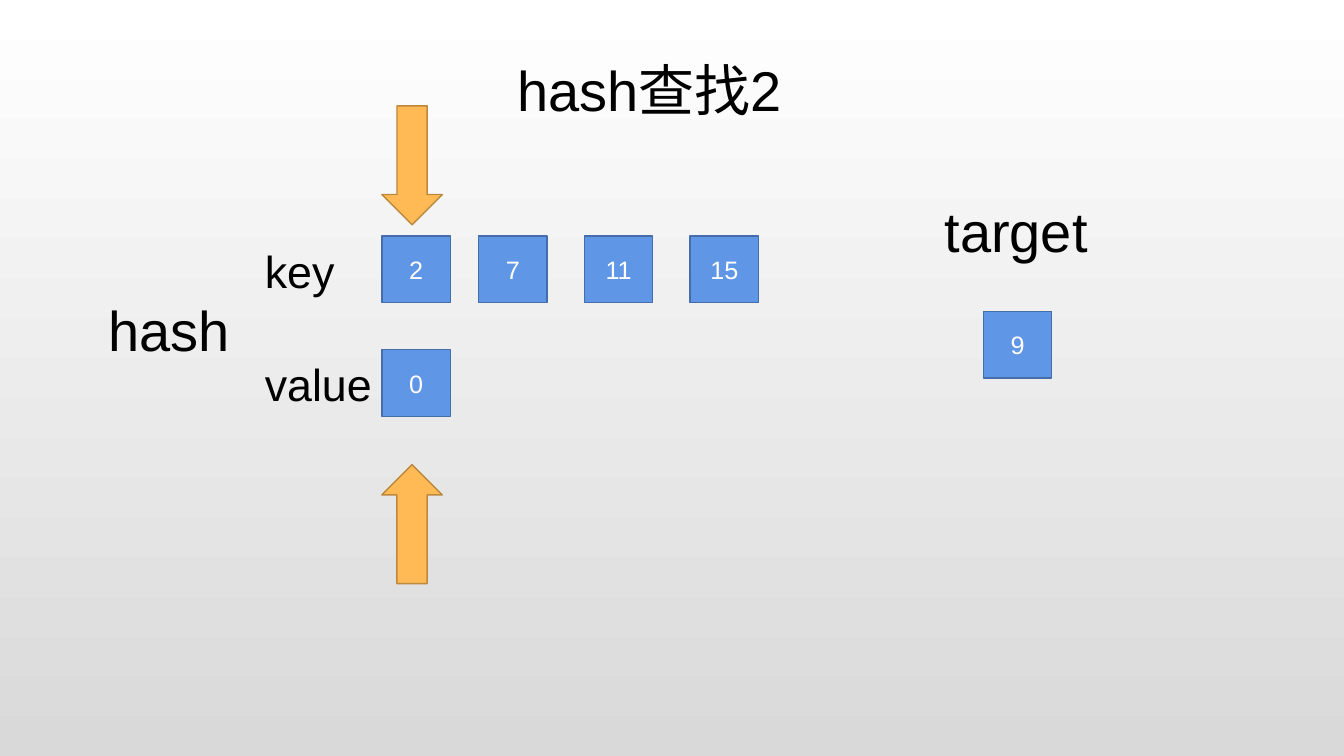
import pptx
import pptx.dml.color
import pptx.enum.shapes
import pptx.enum.text
import pptx.util

PX = 9144
FONT = "Arial"
WHITE = pptx.dml.color.RGBColor(0xFF, 0xFF, 0xFF)
GREY = pptx.dml.color.RGBColor(0xD9, 0xD9, 0xD9)
BLACK = pptx.dml.color.RGBColor(0x00, 0x00, 0x00)
BLUE = pptx.dml.color.RGBColor(0x60, 0x96, 0xE6)
BLUE_EDGE = pptx.dml.color.RGBColor(0x44, 0x6D, 0xA9)
ORANGE = pptx.dml.color.RGBColor(0xFF, 0xBA, 0x55)
ORANGE_EDGE = pptx.dml.color.RGBColor(0xBC, 0x88, 0x3C)
SHAPE = pptx.enum.shapes.MSO_SHAPE
ALIGN = pptx.enum.text.PP_ALIGN
ANCHOR = pptx.enum.text.MSO_ANCHOR

CELL_W, CELL_H = 68, 66
ARROW_W, ARROW_H = 60, 118
FIRST_X = 379
KEY_Y, VALUE_Y = 234, 347


def px(*lengths):
    return [pptx.util.Emu(length * PX) for length in lengths]


def write(frame, text, size, color, align, anchor):
    frame.word_wrap = True
    frame.vertical_anchor = anchor
    frame.text = text
    line = frame.paragraphs[0]
    line.alignment = align
    font = line.runs[0].font
    font.name = FONT
    font.size = pptx.util.Pt(size)
    font.color.rgb = color


def add_filled(slide, kind, box, fill, edge):
    figure = slide.shapes.add_shape(kind, *px(*box))
    figure.shadow.inherit = False
    figure.fill.solid()
    figure.fill.fore_color.rgb = fill
    figure.line.color.rgb = edge
    figure.line.width = pptx.util.Pt(1)
    return figure


def add_cell(slide, number, x, y):
    cell = add_filled(slide, SHAPE.RECTANGLE, (x, y, CELL_W, CELL_H), BLUE, BLUE_EDGE)
    write(cell.text_frame, number, 18, WHITE, ALIGN.CENTER, ANCHOR.MIDDLE)


def add_arrow(slide, y, rotation):
    arrow = add_filled(slide, SHAPE.UP_ARROW, (FIRST_X, y, ARROW_W, ARROW_H), ORANGE, ORANGE_EDGE)
    arrow.rotation = rotation


def add_label(slide, text, box, size, align=ALIGN.LEFT):
    label = slide.shapes.add_textbox(*px(*box))
    write(label.text_frame, text, size, BLACK, align, ANCHOR.TOP)


def paint_background(slide):
    fill = slide.background.fill
    fill.gradient()
    fill.gradient_angle = 270
    for stop, color in zip(fill.gradient_stops, (WHITE, GREY)):
        stop.color.rgb = color


def main():
    deck = pptx.Presentation()
    deck.slide_width, deck.slide_height = px(1334, 750)
    slide = deck.slides.add_slide(deck.slide_layouts[6])
    paint_background(slide)

    for key, x in zip(("2", "7", "11", "15"), (FIRST_X, 475, 580, 685)):
        add_cell(slide, key, x, KEY_Y)
    add_cell(slide, "9", 976, 309)
    add_label(slide, "target", (841, 190, 335, 46), 40, ALIGN.CENTER)
    add_label(slide, "hash查找2", (326, 50, 638, 77), 40, ALIGN.CENTER)
    add_cell(slide, "0", FIRST_X, VALUE_Y)
    add_label(slide, "key", (253, 237, 127, 64), 32)
    add_label(slide, "hash", (98, 288, 173, 77), 40)
    add_label(slide, "value", (253, 349, 127, 64), 32)
    add_arrow(slide, 461, 0)
    add_arrow(slide, 105, 180)

    deck.save("out.pptx")


if __name__ == "__main__":
    main()
